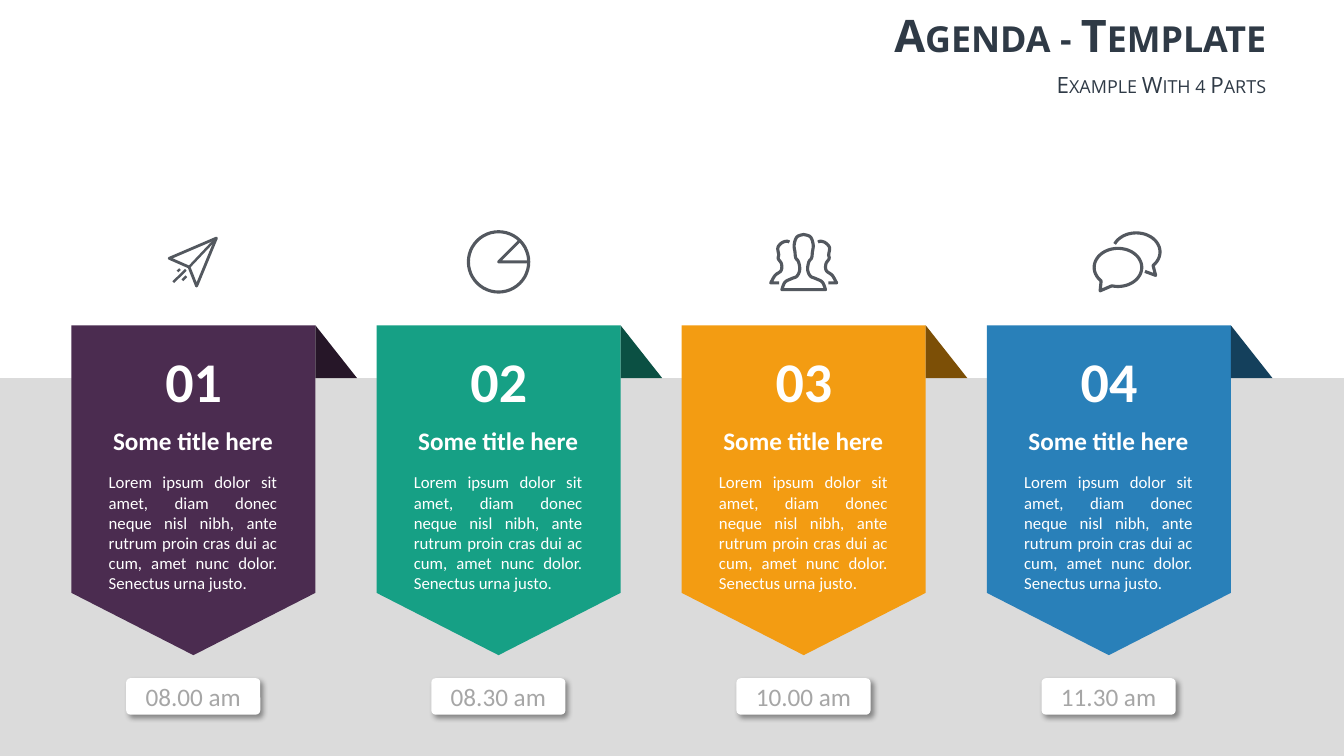
import math

import pptx
import pptx.dml.color
import pptx.enum.shapes
import pptx.enum.text
import pptx.oxml
import pptx.oxml.ns
import pptx.util

Cm = pptx.util.Cm
Pt = pptx.util.Pt
RGBColor = pptx.dml.color.RGBColor
Align = pptx.enum.text.PP_ALIGN
Anchor = pptx.enum.text.MSO_ANCHOR
Kind = pptx.enum.shapes.MSO_SHAPE

WHITE = RGBColor(0xFF, 0xFF, 0xFF)
FLOOR = RGBColor(0xDB, 0xDB, 0xDB)
NAVY = RGBColor(0x2F, 0x3A, 0x46)
GREY = RGBColor(0xA6, 0xA6, 0xA6)
INK = RGBColor(0x53, 0x58, 0x5F)
PLUM, PLUM_DARK = RGBColor(0x4B, 0x2C, 0x50), RGBColor(0x26, 0x16, 0x28)
GREEN, GREEN_DARK = RGBColor(0x16, 0xA0, 0x85), RGBColor(0x0B, 0x50, 0x43)
GOLD, GOLD_DARK = RGBColor(0xF3, 0x9C, 0x12), RGBColor(0x7C, 0x4F, 0x06)
BLUE, BLUE_DARK = RGBColor(0x29, 0x80, 0xB9), RGBColor(0x14, 0x40, 0x5C)

# Card grid, in centimetres
LEFT, PITCH, WIDE, TOP, EDGE = 1.8, 7.69, 6.15, 8.2, 9.53
ICON_Y = 6.6
LOREM = ("Lorem ipsum dolor sit amet, diam donec neque nisl nibh, ante rutrum "
         "proin cras dui ac cum, amet nunc dolor. Senectus urna justo.")


def paint(shape, fill=None, line=None, width=2.0):
    """Set fill and line, and drop the theme shadow."""
    shape.shadow.inherit = False
    if fill is None:
        shape.fill.background()
    else:
        shape.fill.solid()
        shape.fill.fore_color.rgb = fill
    if line is None:
        shape.line.fill.background()
    else:
        shape.line.color.rgb = line
        shape.line.width = Pt(width)


def style(para, size, color, align, bold=False, font="Calibri", small=False):
    para.alignment = align
    for run in para.runs:
        run.font.name = font
        run.font.size = Pt(size)
        run.font.bold = bold
        run.font.color.rgb = color
        if small:
            run.font._element.set("cap", "small")


def add_box(slide, x, y, w, h, text):
    box = slide.shapes.add_textbox(Cm(x), Cm(y), Cm(w), Cm(h))
    box.text_frame.word_wrap = True
    box.text_frame.text = text
    return box.text_frame


def set_inset(frame, side):
    frame.margin_left = frame.margin_right = Cm(side)
    frame.margin_top = frame.margin_bottom = Cm(0)


def add_path(slide, x, y, points, closed=True, **look):
    """Draw points given relative to (x, y)."""
    spots = [(Cm(x + dx), Cm(y + dy)) for dx, dy in points]
    form = slide.shapes.build_freeform(*spots[0], scale=1.0)
    form.add_line_segments(spots[1:], close=closed)
    shape = form.convert_to_shape()
    paint(shape, **look)


def add_dash(slide, x, y, start, end):
    line = slide.shapes.add_connector(
        pptx.enum.shapes.MSO_CONNECTOR.STRAIGHT,
        Cm(x + start[0]), Cm(y + start[1]), Cm(x + end[0]), Cm(y + end[1]))
    line.line.color.rgb = INK
    line.line.width = Pt(1.75)
    line._element.spPr.append(pptx.oxml.parse_xml(
        "<a:effectLst %s/>" % pptx.oxml.ns.nsdecls("a")))


def smooth(points, steps=5):
    """Round a chain of points with a Catmull-Rom curve."""
    ends = [points[0], *points, points[-1]]
    curve = []
    for a, b, c, d in zip(ends, ends[1:], ends[2:], ends[3:]):
        for k in range(steps):
            t = k / steps
            curve.append(tuple(
                q + t * (r - p) / 2 + t * t * (2 * p - 5 * q + 4 * r - s) / 2
                + t ** 3 * (3 * q - p - 3 * r + s) / 2
                for p, q, r, s in zip(a, b, c, d)))
    return curve + [points[-1]]


def flip(points):
    return [(-x, y) for x, y in points]


def arc(x, y, first, last):
    """Points on a bubble's rim between two angles in degrees."""
    turns = [math.radians(deg) for deg in range(first, last + 1, 5)]
    return [(x + 0.6 * math.cos(t), y + 0.48 * math.sin(t)) for t in turns]


def draw_plane(slide, x, y):
    tip, fold = (0.58, -0.6), (-0.11, 0.13)
    add_path(slide, x, y, [tip, (-0.61, -0.09), fold, (0.08, 0.61)], line=INK)
    add_dash(slide, x, y, fold, tip)
    for start, end in [((-0.19, 0.2), (-0.51, 0.51)),
                       ((-0.18, 0.36), (-0.28, 0.46)),
                       ((-0.34, 0.18), (-0.4, 0.24))]:
        add_dash(slide, x, y, start, end)


def draw_pie(slide, x, y):
    size = 0.76
    ring = slide.shapes.add_shape(Kind.OVAL, Cm(x - size), Cm(y - size),
                                  Cm(2 * size), Cm(2 * size))
    paint(ring, line=INK, width=2.25)
    add_path(slide, x, y, [(0.53, -0.53), (0, 0), (size, 0)],
             closed=False, line=INK)


def draw_team(slide, x, y):
    half = smooth([(0, -0.69), (0.17, -0.63), (0.24, -0.43), (0.22, -0.25),
                   (0.2, -0.1), (0.13, 0), (0.1, 0.2), (0.17, 0.36),
                   (0.3, 0.42), (0.47, 0.51), (0.55, 0.7)])
    add_path(slide, x, y, half + flip(half)[:0:-1], line=INK, width=2.25)
    side = smooth([(0.36, -0.5), (0.43, -0.52), (0.55, -0.48), (0.65, -0.36),
                   (0.63, -0.18), (0.64, -0.08), (0.56, 0.05), (0.57, 0.22),
                   (0.72, 0.34), (0.83, 0.53)]) + [(0.62, 0.53)]
    for points in (side, flip(side)):
        add_path(slide, x, y, points, closed=False, line=INK, width=2.25)


def draw_chat(slide, x, y):
    front = arc(0.23, 0.14, 135, 465) + [(-0.22, 0.73)]
    back = arc(0.69, -0.25, 205, 405) + [(1.18, 0.34), (0.91, 0.24)]
    add_path(slide, x, y, front, line=INK, width=2.25)
    add_path(slide, x, y, back, closed=False, line=INK, width=2.25)


def add_card(slide, x, label, fill, dark):
    # Banner and folded corner
    add_path(slide, x, TOP, [(0, 0), (WIDE, 0), (WIDE, 6.74),
                             (WIDE / 2, 8.31), (0, 6.74)], fill=fill)
    drop = EDGE - TOP
    add_path(slide, x + WIDE, TOP, [(0, 0), (1.05, drop), (0, drop)], fill=dark)

    # Number, title and description
    frame = add_box(slide, x + 1.48, 8.74, 3.2, 1.7, label)
    set_inset(frame, 0)
    style(frame.paragraphs[0], 40, WHITE, Align.CENTER, bold=True)
    frame = add_box(slide, x + 0.69, 10.59, 4.75, 4.52, "Some title here")
    style(frame.paragraphs[0], 18, WHITE, Align.CENTER, bold=True)
    para = frame.add_paragraph()
    para.text = LOREM
    para.space_before = Pt(12)
    style(para, 12, WHITE, Align.JUSTIFY)


def add_time(slide, x, time):
    pill = slide.shapes.add_shape(Kind.ROUNDED_RECTANGLE, Cm(x + 1.38),
                                  Cm(17.09), Cm(3.38), Cm(0.92))
    pill.adjustments[0] = 0.12
    paint(pill, fill=WHITE)
    glow = pill._element.spPr.find(pptx.oxml.ns.qn("a:effectLst"))
    glow.append(pptx.oxml.parse_xml(
        '<a:outerShdw %s blurRad="50800" dist="38100" dir="2700000" algn="tl" '
        'rotWithShape="0"><a:srgbClr val="000000"><a:alpha val="40000"/>'
        '</a:srgbClr></a:outerShdw>' % pptx.oxml.ns.nsdecls("a")))
    frame = pill.text_frame
    frame.text = time
    frame.vertical_anchor = Anchor.MIDDLE
    set_inset(frame, 0.13)
    style(frame.paragraphs[0], 18, GREY, Align.CENTER)


def add_head(slide, y, h, text, size, bold):
    frame = add_box(slide, 10.8, y, 21.36, h, text)
    frame.vertical_anchor = Anchor.MIDDLE
    style(frame.paragraphs[0], size, NAVY, Align.RIGHT, bold, "Open Sans", True)


def main():
    deck = pptx.Presentation()
    deck.slide_width, deck.slide_height = Cm(33.87), Cm(19.05)
    slide = deck.slides.add_slide(deck.slide_layouts[6])

    # Grey lower half
    floor = slide.shapes.add_shape(Kind.RECTANGLE, 0, Cm(EDGE), Cm(33.87),
                                   Cm(19.05 - EDGE))
    paint(floor, fill=FLOOR)

    # Headings
    add_head(slide, 0, 1.73, "Agenda - Template", 32, True)
    add_head(slide, 1.73, 0.79, "Example With 4 Parts", 16, False)

    # Agenda parts
    parts = [("08.00 am", PLUM, PLUM_DARK, draw_plane),
             ("08.30 am", GREEN, GREEN_DARK, draw_pie),
             ("10.00 am", GOLD, GOLD_DARK, draw_team),
             ("11.30 am", BLUE, BLUE_DARK, draw_chat)]
    for i, (time, fill, dark, draw) in enumerate(parts):
        x = LEFT + i * PITCH
        add_card(slide, x, f"{i + 1:02}", fill, dark)
        add_time(slide, x, time)
        draw(slide, x + WIDE / 2, ICON_Y)

    deck.save("out.pptx")


if __name__ == "__main__":
    main()
